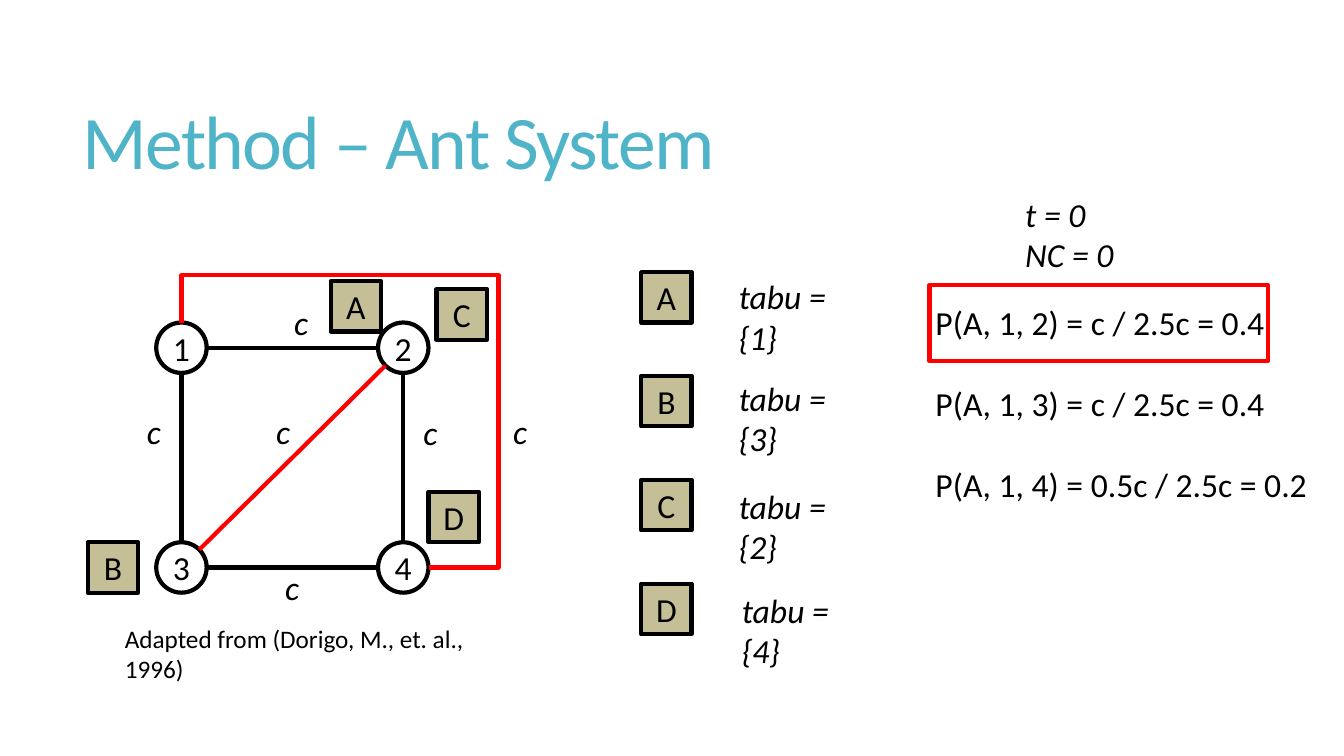
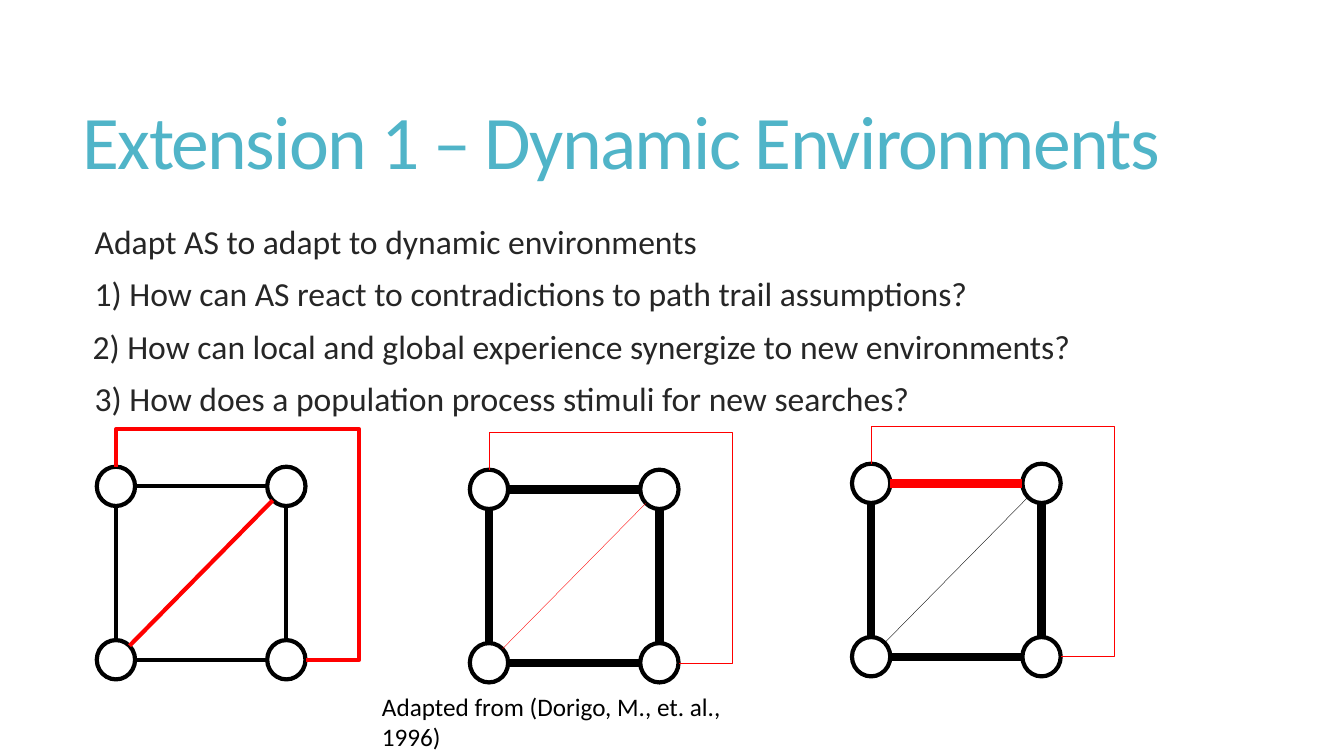
from dataclasses import dataclass
from lxml.etree import SubElement
from pptx import Presentation
from pptx.dml.color import RGBColor as RGB
from pptx.enum.shapes import MSO_CONNECTOR as CXN, MSO_SHAPE as SHAPE
from pptx.enum.text import MSO_ANCHOR as ANCHOR, PP_ALIGN as ALIGN
from pptx.oxml.ns import qn
from pptx.util import Emu, Pt

SCALE = 9144  # EMU per px, 100 px to the inch


@dataclass(frozen=True)
class Theme:
    font: str = "Calibri"
    title: RGB = RGB(0x50, 0xB4, 0xC8)
    body: RGB = RGB(0x26, 0x26, 0x26)
    ink: RGB = RGB(0, 0, 0)
    accent: RGB = RGB(0xFF, 0, 0)
    agent: RGB = RGB(0xC5, 0xBF, 0x97)
    title_pt: int = 54
    text_pt: int = 24
    caption_pt: int = 18
    line_pt: int = 3
    heavy_pt: int = 6
    hair_pt: float = 0.25


T = Theme()


def px(n):
    return Emu(round(n * SCALE))


def assign(obj, values):
    for name, value in values.items():
        setattr(obj, name, value)


# Text
def write(tf, lines, color=T.ink, pt=T.text_pt, italic=False, spc=None, **para):
    for i, line in enumerate(lines):
        p = tf.paragraphs[0] if i == 0 else tf.add_paragraph()
        assign(p, para)
        r = p.add_run()
        r.text = line
        assign(r.font, {"name": T.font, "size": Pt(pt), "italic": italic})
        r.font.color.rgb = color
        if spc:
            r.font._element.set("spc", str(spc))


def add_text(slide, box, lines, wrap=False, pad_right=10, anchor=ANCHOR.TOP, **fmt):
    tf = slide.shapes.add_textbox(*map(px, box)).text_frame
    assign(tf, {"word_wrap": wrap, "margin_right": px(pad_right),
                "vertical_anchor": anchor})
    write(tf, lines, **fmt)
    return tf


def add_title(slide, text):
    add_text(slide, (72, 55, 1178, 181), [text], wrap=True, anchor=ANCHOR.MIDDLE,
             color=T.title, pt=T.title_pt, spc=-120, line_spacing=0.85)


def add_caption(slide, left, top):
    add_text(slide, (left, top, 420, 40), ["Adapted from (Dorigo, M., et. al., 1996)"],
             wrap=True, pad_right=30, pt=T.caption_pt)


# Shapes and lines
def add_box(slide, kind, box, text="", fill=None, line=T.ink):
    sp = slide.shapes.add_shape(kind, *map(px, box))
    sp.shadow.inherit = False
    if fill is None:
        sp.fill.background()
    else:
        sp.fill.solid()
        sp.fill.fore_color.rgb = fill
    sp.line.color.rgb = line
    sp.line.width = Pt(T.line_pt)
    if text:
        tf = sp.text_frame
        assign(tf, {"word_wrap": False, "vertical_anchor": ANCHOR.MIDDLE})
        write(tf, [text], alignment=ALIGN.CENTER)


def add_agent(slide, left, top, name):
    add_box(slide, SHAPE.RECTANGLE, (left, top, 50, 50), name, T.agent)


def add_line(slide, start, end, color=T.ink, pt=T.line_pt, kind=CXN.STRAIGHT):
    cx = slide.shapes.add_connector(kind, *map(px, (*start, *end)))
    cx.line.color.rgb = color
    cx.line.width = Pt(pt)
    SubElement(cx._element.spPr, qn("a:effectLst"))
    return cx


def add_detour(slide, start, end, color, pt):
    """Elbow that leaves upwards, runs past the right side and comes back."""
    (x1, y1), (x2, y2) = start, end
    mid_x, mid_y = (x1 + x2) / 2, (y1 + y2) / 2
    half_w, half_h = (y2 - y1) / 2, (x2 - x1) / 2  # swapped by the quarter turn
    cx = add_line(slide, (mid_x - half_w, mid_y - half_h),
                  (mid_x + half_w, mid_y + half_h), color, pt, CXN.ELBOW)
    sp_pr = cx._element.spPr
    sp_pr.xfrm.set("rot", "16200000")
    sp_pr.xfrm.set("flipH", "1")
    geom = sp_pr.find(qn("a:prstGeom"))
    geom.set("prst", "bentConnector4")
    guides = geom.find(qn("a:avLst"))
    if guides is None:
        guides = SubElement(geom, qn("a:avLst"))
    for name, value in (("adj1", -19400), ("adj2", 128300)):
        SubElement(guides, qn("a:gd"), name=name, fmla=f"val {value}")


def add_graph(slide, left, top, node, pitch, labels=("",) * 4, side_pt=T.line_pt,
              top_color=T.ink, diagonal=(T.accent, T.line_pt),
              detour=(T.accent, T.line_pt)):
    (w, h), (dx, dy) = node, pitch
    right, bottom = left + dx, top + dy
    cx, cy = w / 2, h / 2
    # Nodes
    corners = [(x, y) for y in (top, bottom) for x in (left, right)]
    for (x, y), label in zip(corners, labels):
        add_box(slide, SHAPE.OVAL, (x, y, w, h), label)
    # Sides
    for y, color in ((top, top_color), (bottom, T.ink)):
        add_line(slide, (left + w, y + cy), (right, y + cy), color, side_pt)
    for x in (left, right):
        add_line(slide, (x + cx, bottom), (x + cx, top + h), T.ink, side_pt)
    # Diagonal, from rim to rim at 45 degrees
    rim_x, rim_y = 0.71 * cx, 0.71 * cy
    add_line(slide, (left + cx + rim_x, bottom + cy - rim_y),
             (right + cx - rim_x, top + cy + rim_y), *diagonal)
    add_detour(slide, (left + cx, top), (right + w, bottom + cy), *detour)


# Regions of the ant system slide
def add_ant_map(slide, left, top):
    add_graph(slide, left, top, (50, 50), (220, 218), "1234")
    for name, x, y in (("A", 173, -41), ("B", -68, 218), ("C", 278, -33), ("D", 270, 168)):
        add_agent(slide, left + x, top + y, name)
    for x, y in ((127, -25), (109, 83), (-19, 83), (255, 84), (118, 238), (344, 83)):
        add_text(slide, (left + x, top + y, 34, 50), ["c"], italic=True)


def add_tabu_lists(slide, left, top):
    rows = (("A", 1, 87, -1), ("B", 3, 87, -3), ("C", 2, 87, 1), ("D", 4, 90, 1))
    for i, (name, city, x, nudge) in enumerate(rows):
        y = top + i * 103
        add_agent(slide, left, y, name)
        add_text(slide, (left + x, y + nudge, 151, 50), [f"tabu = {{{city}}}"],
                 wrap=True, pad_right=40, italic=True)


def add_probabilities(slide, left, top):
    add_text(slide, (left + 89, top, 108, 91), ["t = 0", "NC = 0"], italic=True)
    tf = add_text(slide, (left, top + 108, 389, 212),
                  ["P(A, 1, 2) = c / 2.5c = 0.4", "P(A, 1, 3) = c / 2.5c = 0.4",
                   "P(A, 1, 4) = 0.5c / 2.5c = 0.2"])
    for p in tf.paragraphs[1:]:
        p.space_before = Pt(29)
    add_box(slide, SHAPE.RECTANGLE, (left + 4, top + 96, 336, 75), line=T.accent)


# Region of the extension slide
def add_questions(slide, box):
    tf = add_text(slide, box, [
        "Adapt AS to adapt to dynamic environments",
        "1) How can AS react to contradictions to path trail assumptions?",
        "2) How can local and global experience synergize to new environments?",
        "3) How does a population process stimuli for new searches?",
    ], wrap=True, color=T.body, line_spacing=0.85, space_before=Pt(13))
    for p, indent in zip(tf.paragraphs, (10, 10, 8, 10)):
        p._p.get_or_add_pPr().set("marL", str(px(indent)))


# Slides
def ant_system_slide(slide):
    add_title(slide, "Method – Ant System")
    add_ant_map(slide, 155, 320)
    add_caption(slide, 114, 613)
    add_tabu_lists(slide, 636, 270)
    add_probabilities(slide, 918, 187)


def extension_slide(slide):
    add_title(slide, "Extension 1 – Dynamic Environments")
    add_questions(slide, (74, 220, 1176, 412))
    faint = (T.accent, T.hair_pt)
    stages = (
        (96, 463, {}),
        (466, 466, {"side_pt": T.heavy_pt, "diagonal": faint, "detour": faint}),
        (845, 460, {"side_pt": T.heavy_pt, "top_color": T.accent,
                    "diagonal": (T.ink, T.hair_pt), "detour": faint}),
    )
    for left, top, style in stages:
        add_graph(slide, left, top, (38, 39), (169, 172), **style)
    add_caption(slide, 369, 681)


def main():
    prs = Presentation()
    assign(prs, {"slide_width": px(1333), "slide_height": px(750)})
    for build in (ant_system_slide, extension_slide):
        build(prs.slides.add_slide(prs.slide_layouts[6]))
    prs.save("out.pptx")


if __name__ == "__main__":
    main()
